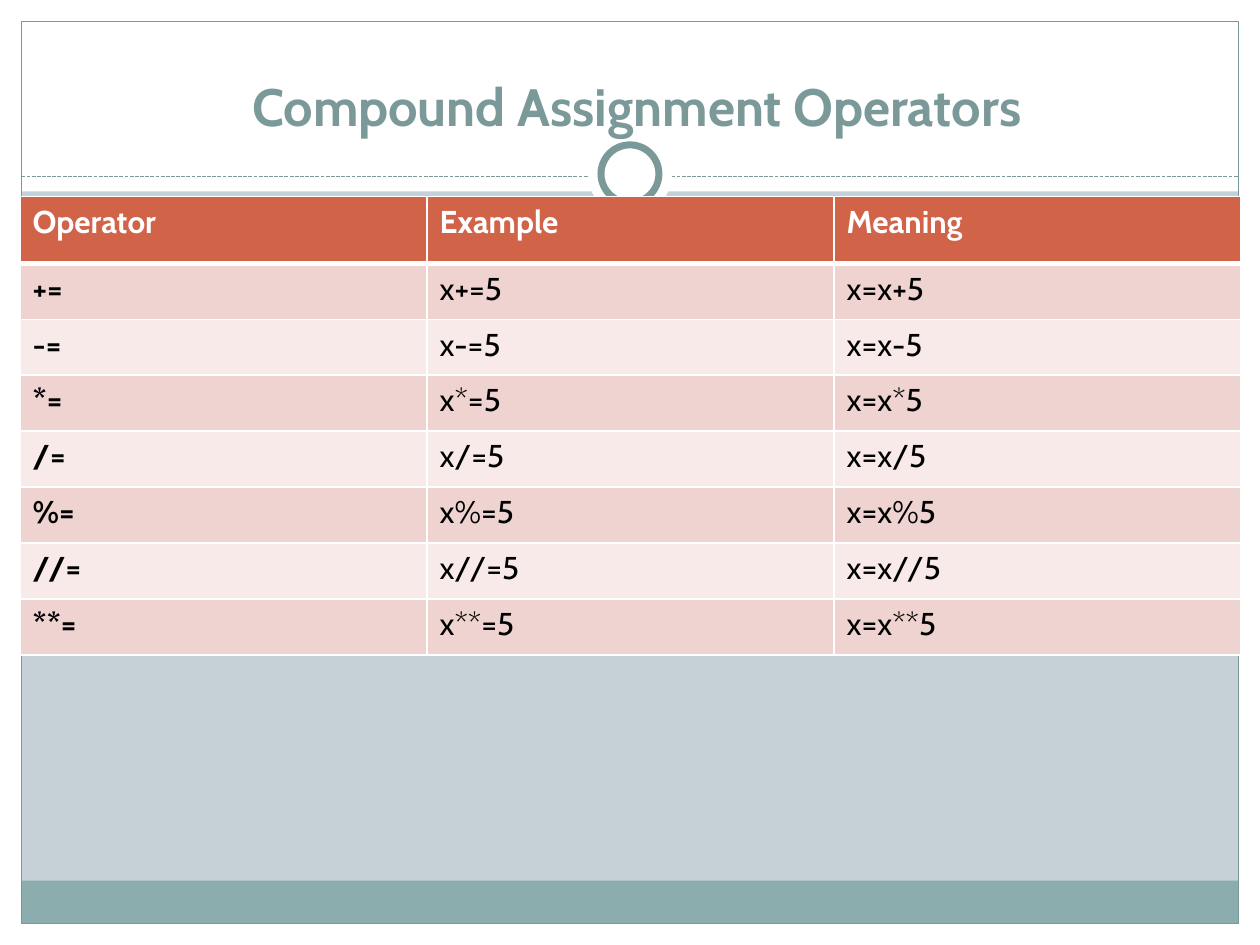
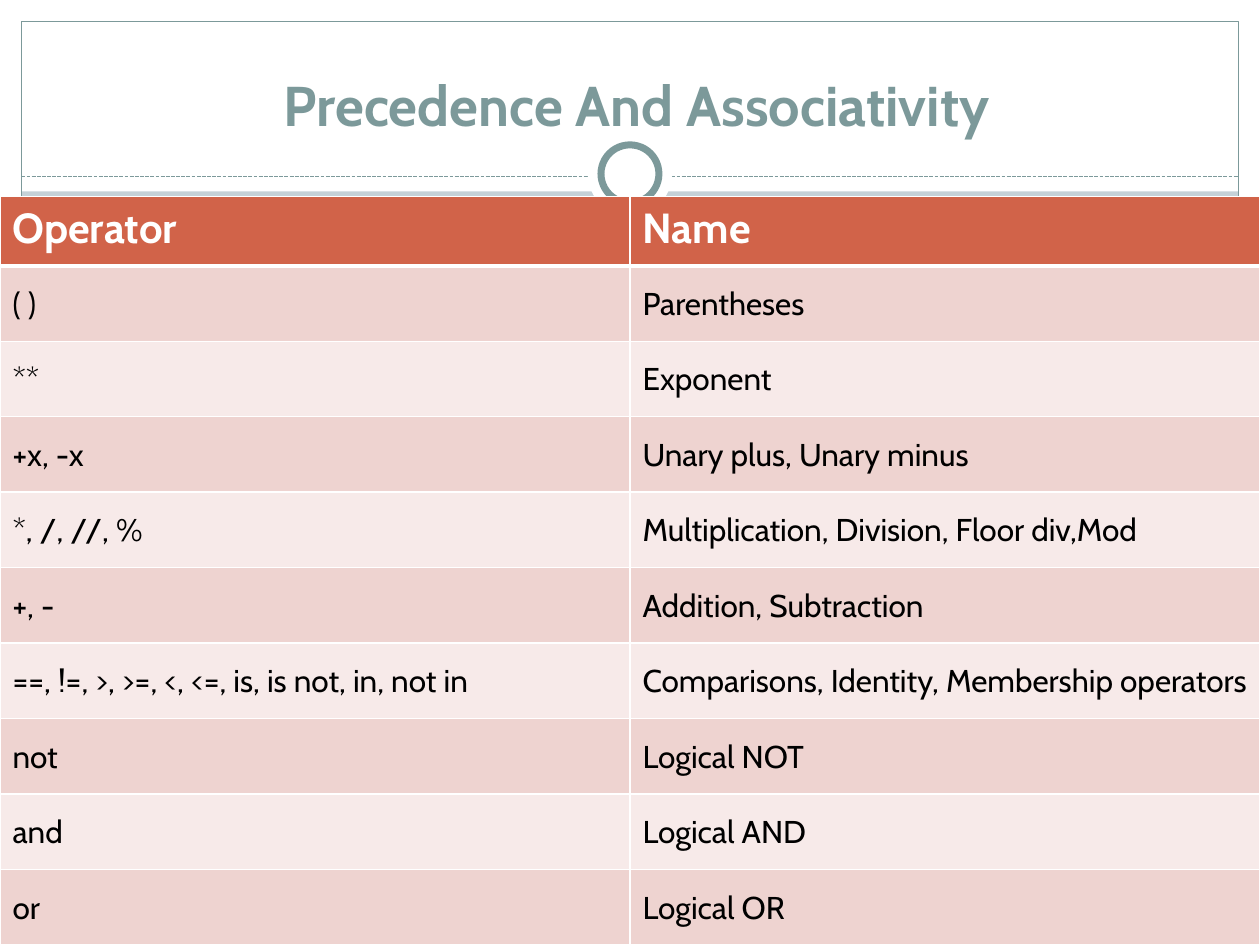
from dataclasses import dataclass

from lxml import etree
from pptx import Presentation
from pptx import util as u
from pptx.dml.color import RGBColor
from pptx.enum import dml, shapes, text
from pptx.oxml import ns


@dataclass(frozen=True)
class Theme:
    font: str = "Cabin"
    background: str = "C5D1D7"
    paper: str = "FFFFFF"
    footer: str = "8CADAE"
    accent: str = "7C999A"
    header: str = "D16349"
    bands: tuple = ("EED3D0", "F7EAE9")
    ink: str = "000000"
    body_size: int = 18
    hairline: float = 0.75
    ring_line: float = 4
    grid_line: float = 1
    header_rule: float = 3


THEME = Theme()
SLIDE_WIDTH, SLIDE_HEIGHT = 10, 7.5
MARGIN = 0.17
HEADER_HEIGHT = 1.52
FOOTER_HEIGHT = 0.34
DIVIDER_Y = 1.4
RING_CENTRE = (SLIDE_WIDTH / 2, 1.38)
TITLE_BOX = (0.39, 0.31, 9.33, 0.83)

COMPOUND_OPERATORS = ("+", "-", "*", "/", "%", "//", "**")
PRECEDENCE = [
    ("( )", "Parentheses"),
    ("**", "Exponent"),
    ("+x, -x", "Unary plus, Unary minus"),
    ("*, /, //, %", "Multiplication, Division, Floor div,Mod"),
    ("+, -", "Addition, Subtraction"),
    ("==, !=, >, >=, <, <=, is, is not, in, not in",
     "Comparisons, Identity, Membership operators"),
    ("not", "Logical NOT"),
    ("and", "Logical AND"),
    ("or", "Logical OR"),
]


def rgb(colour):
    return RGBColor.from_string(colour)


def inches(values):
    return [u.Inches(value) for value in values]


def write(frame, content, size=THEME.body_size, colour=THEME.ink, bold=False,
          align=text.PP_ALIGN.LEFT):
    paragraph = frame.paragraphs[0]
    paragraph.alignment = align
    run = paragraph.add_run()
    run.text = content
    run.font.name = THEME.font
    run.font.size = u.Pt(size)
    run.font.bold = bold
    run.font.color.rgb = rgb(colour)


def add_figure(slide, kind, box, fill=None, line=None, line_width=THEME.hairline):
    shape = slide.shapes.add_shape(kind, *inches(box))
    shape.shadow.inherit = False
    if fill:
        shape.fill.solid()
        shape.fill.fore_color.rgb = rgb(fill)
    else:
        shape.fill.background()
    if line:
        shape.line.color.rgb = rgb(line)
        shape.line.width = u.Pt(line_width)
    else:
        shape.line.fill.background()


def add_divider(slide, left, right, y):
    connector = slide.shapes.add_connector(
        shapes.MSO_CONNECTOR.STRAIGHT, *inches((left, y, right, y)))
    connector.line.color.rgb = rgb(THEME.accent)
    connector.line.width = u.Pt(THEME.hairline)
    connector.line.dash_style = dml.MSO_LINE.SQUARE_DOT
    etree.SubElement(connector._element.spPr, ns.qn("a:effectLst"))


def add_circle(slide, centre, diameter, **style):
    x, y = centre
    box = (x - diameter / 2, y - diameter / 2, diameter, diameter)
    add_figure(slide, shapes.MSO_SHAPE.OVAL, box, fill=THEME.paper, **style)


def add_backdrop(slide):
    """Paint the white margins, footer band, frame, divider and ring."""
    slide.background.fill.solid()
    slide.background.fill.fore_color.rgb = rgb(THEME.background)
    rectangle = shapes.MSO_SHAPE.RECTANGLE
    inner_width = SLIDE_WIDTH - 2 * MARGIN
    bottom = SLIDE_HEIGHT - MARGIN
    margins = [
        (0, bottom, SLIDE_WIDTH, MARGIN),
        (0, 0, SLIDE_WIDTH, HEADER_HEIGHT),
        (0, 0, MARGIN, SLIDE_HEIGHT),
        (SLIDE_WIDTH - MARGIN, 0, MARGIN, SLIDE_HEIGHT),
    ]
    for box in margins:
        add_figure(slide, rectangle, box, fill=THEME.paper)
    add_figure(slide, rectangle,
               (MARGIN, bottom - FOOTER_HEIGHT, inner_width, FOOTER_HEIGHT),
               fill=THEME.footer)
    add_figure(slide, rectangle,
               (MARGIN, MARGIN, inner_width, bottom - MARGIN), line=THEME.accent)
    add_divider(slide, MARGIN, SLIDE_WIDTH - MARGIN, DIVIDER_Y)
    add_circle(slide, RING_CENTRE, 0.67)
    add_circle(slide, RING_CENTRE, 0.46, line=THEME.accent,
               line_width=THEME.ring_line)


def add_title(slide, box, title, size):
    frame = slide.shapes.add_textbox(*inches(box)).text_frame
    frame.word_wrap = True
    frame.vertical_anchor = text.MSO_ANCHOR.BOTTOM
    write(frame, title, size=size, colour=THEME.accent, bold=True,
          align=text.PP_ALIGN.CENTER)


def style_cell(cell, fill, top, bottom):
    """Set the fill and white borders; top and bottom are border widths."""
    properties = cell._tc.get_or_add_tcPr()
    widths = {"lnL": THEME.grid_line, "lnR": THEME.grid_line,
              "lnT": top, "lnB": bottom}
    for side, width in widths.items():
        border = etree.SubElement(properties, ns.qn(f"a:{side}"),
                                  w=str(u.Pt(width)))
        solid = etree.SubElement(border, ns.qn("a:solidFill"))
        etree.SubElement(solid, ns.qn("a:srgbClr"), val=THEME.paper)
    cell.fill.solid()
    cell.fill.fore_color.rgb = rgb(fill)


def add_operator_table(slide, box, headings, rows, header_height,
                       header_size=THEME.body_size, bold_first=False,
                       centred=False):
    left, top, width, height = box
    table = slide.shapes.add_table(
        len(rows) + 1, len(headings), *inches(box)).table
    table.first_row = table.horz_banding = False
    for column in table.columns:
        column.width = u.Inches(width / len(headings))
    for row in table.rows:
        row.height = u.Inches((height - header_height) / len(rows))
    table.rows[0].height = u.Inches(header_height)

    for index, heading in enumerate(headings):
        cell = table.cell(0, index)
        style_cell(cell, THEME.header, THEME.grid_line, THEME.header_rule)
        write(cell.text_frame, heading, size=header_size, colour=THEME.paper,
              bold=True)
    for row_index, row in enumerate(rows):
        rule = THEME.grid_line if row_index else THEME.header_rule
        for index, content in enumerate(row):
            cell = table.cell(row_index + 1, index)
            style_cell(cell, THEME.bands[row_index % 2], rule, THEME.grid_line)
            if centred:
                cell.vertical_anchor = text.MSO_ANCHOR.MIDDLE
                (cell.margin_left, cell.margin_top, cell.margin_right,
                 cell.margin_bottom) = inches((0.1, 0.1, 0.08, 0.09))
            write(cell.text_frame, content, bold=bold_first and index == 0)


def add_table_slide(presentation, title, title_size, box, headings, rows,
                    **table_format):
    slide = presentation.slides.add_slide(presentation.slide_layouts[6])
    add_backdrop(slide)
    add_title(slide, TITLE_BOX, title, title_size)
    add_operator_table(slide, box, headings, rows, **table_format)


def main():
    presentation = Presentation()
    presentation.slide_width = u.Inches(SLIDE_WIDTH)
    presentation.slide_height = u.Inches(SLIDE_HEIGHT)
    assignments = [(f"{sign}=", f"x{sign}=5", f"x=x{sign}5")
                   for sign in COMPOUND_OPERATORS]
    add_table_slide(presentation, "Compound Assignment Operators", 30,
                    (0.16, 1.56, 9.69, 3.64),
                    ("Operator", "Example", "Meaning"), assignments,
                    header_height=0.53, bold_first=True)
    add_table_slide(presentation, "Precedence And Associativity", 32,
                    (0, 1.56, 10, 5.94), ("Operator", "Name"), PRECEDENCE,
                    header_height=0.55, header_size=24, centred=True)
    presentation.save("out.pptx")


if __name__ == "__main__":
    main()
